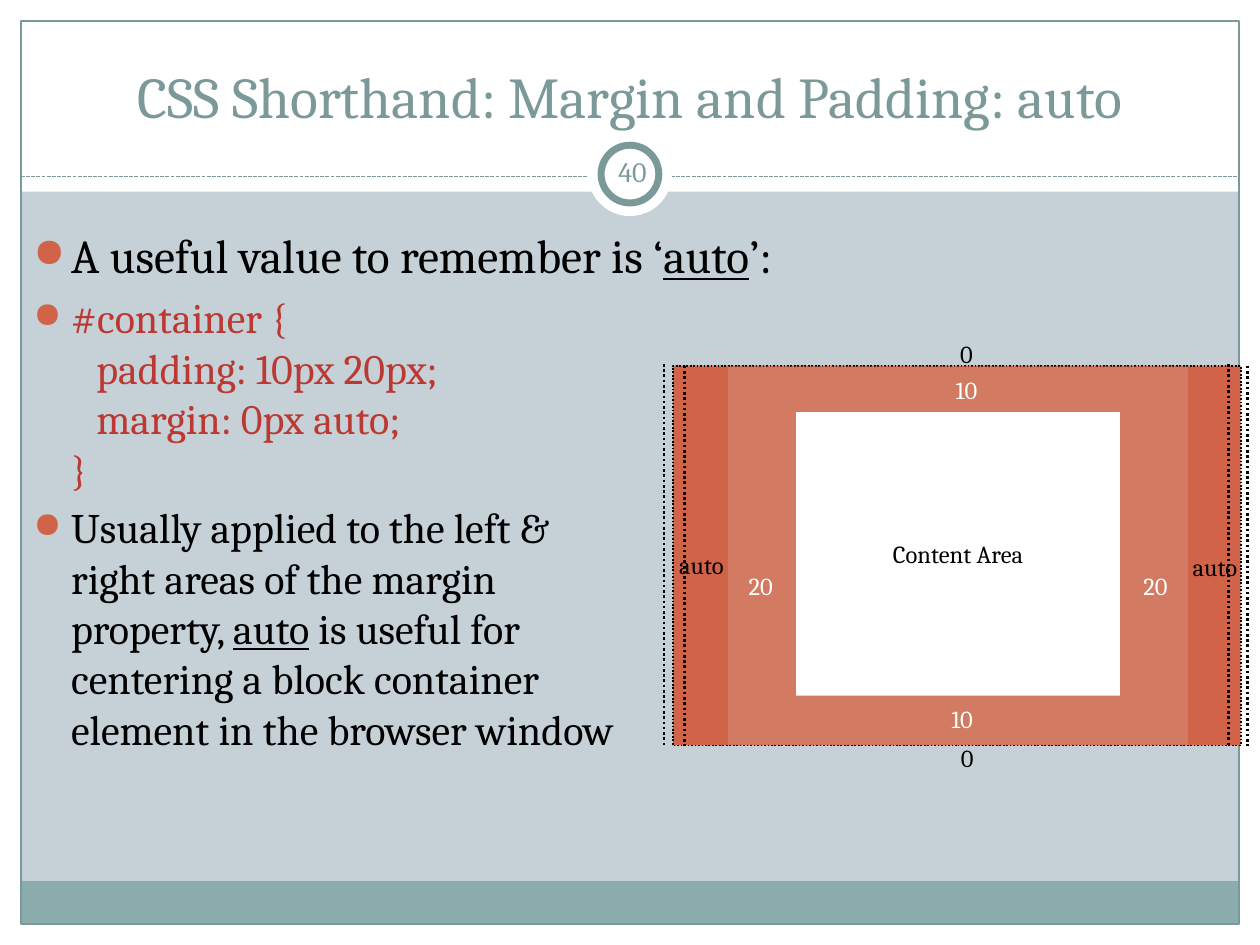
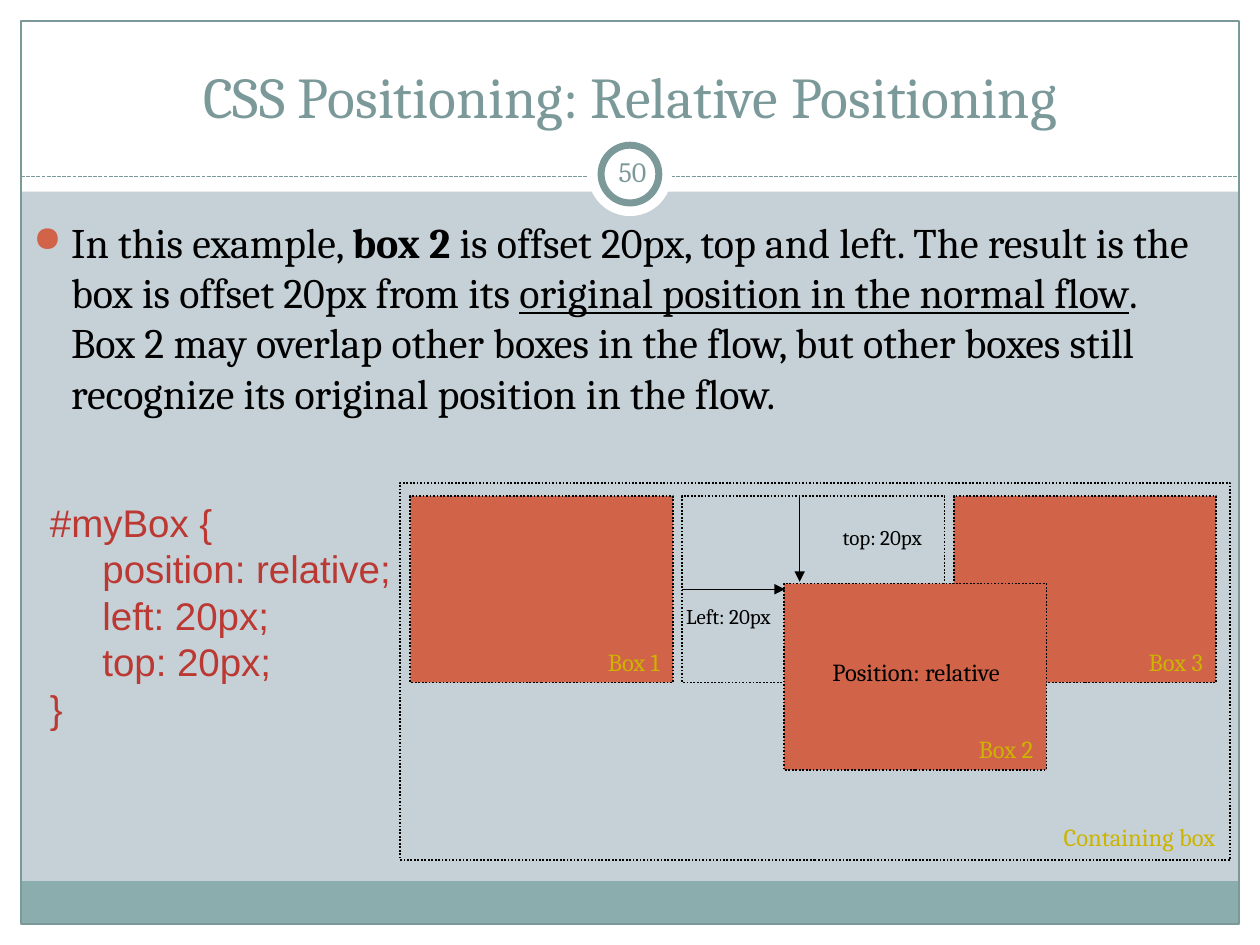
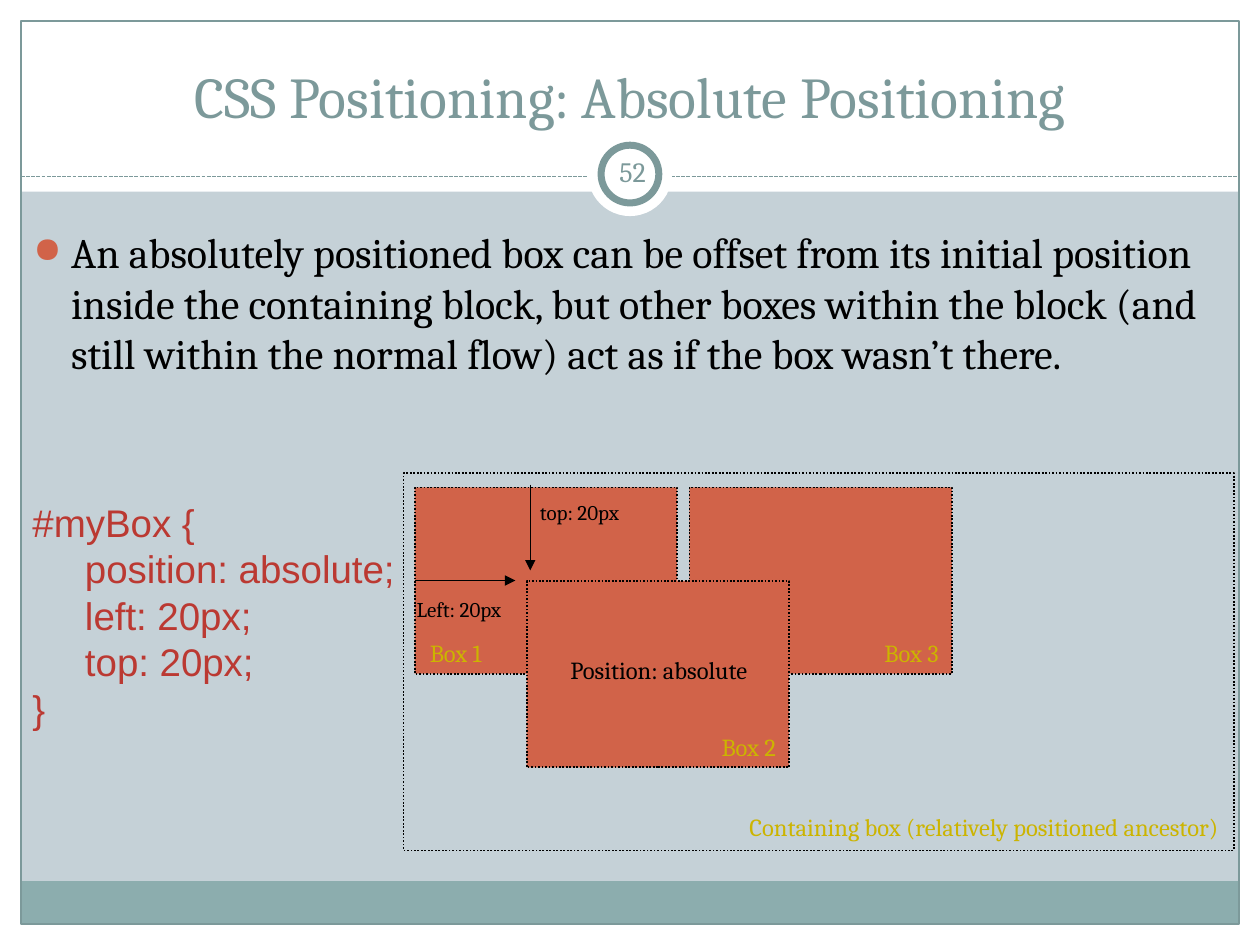
from dataclasses import dataclass

from lxml import etree
from pptx import Presentation
from pptx.dml import color
from pptx.enum import dml, shapes, text
from pptx.oxml import ns
from pptx.util import Pt


@dataclass(frozen=True)
class Theme:
    # Colours
    back: str = "C5D1D7"
    white: str = "FFFFFF"
    black: str = "000000"
    slate: str = "7C999A"
    teal: str = "8CADAE"
    rust: str = "D16349"
    clay: str = "D27B62"
    red: str = "BB3932"
    gold: str = "CCB400"
    # Fonts and type sizes
    serif: str = "Cambria"
    sans: str = "Arial"
    head: int = 33
    lead: int = 27
    body: int = 24
    code: int = 22
    page: int = 16
    label: int = 14
    hint: int = 12


T = Theme()
RECT = shapes.MSO_SHAPE.RECTANGLE
OVAL = shapes.MSO_SHAPE.OVAL
DOT = dml.MSO_LINE.ROUND_DOT
DASH = dml.MSO_LINE.SQUARE_DOT
LEFT, MID, RIGHT = text.PP_ALIGN.LEFT, text.PP_ALIGN.CENTER, text.PP_ALIGN.RIGHT


def rgb(tone):
    return color.RGBColor.from_string(tone)


def node(parent, tag, **attrs):
    return etree.SubElement(parent, ns.qn(tag), attrs)


class Deck:
    """Holds the theme, the show and the current slide."""

    def __init__(self, theme):
        self.theme = theme
        self.show = Presentation()
        self.show.slide_width, self.show.slide_height = Pt(720), Pt(540)
        self.slide = None

    # Page with bands, frame, title and number
    def page(self, title, number):
        t = self.theme
        self.slide = self.show.slides.add_slide(self.show.slide_layouts[6])
        fill = self.slide.background.fill
        fill.solid()
        fill.fore_color.rgb = rgb(t.back)
        for band in ((0, 528, 720, 12), (0, 0, 720, 109.5),
                     (0, 0, 12, 540), (708, 0, 12, 540)):
            self.shape(band, t.white)
        self.shape((12, 503.5, 696, 24.5), t.teal)
        self.shape((12, 12, 696, 516), line=t.slate, width=0.75)
        self.line(12, 101, 708, 101, t.slate, 0.75, DASH)
        self.shape((336, 75.5, 48, 48), t.white, kind=OVAL)
        self.shape((343.5, 83, 33, 33), t.white, t.slate, 4, kind=OVAL)
        self.label((24, 18, 672, 60), title, t.head, t.slate,
                   anchor=text.MSO_ANCHOR.BOTTOM)
        self.label((343.5, 80.5, 36, 34.5), number, t.page, t.slate,
                   anchor=text.MSO_ANCHOR.MIDDLE, inset=3.6)

    def shape(self, area, fill=None, line=None, width=1.0, dash=None, kind=RECT):
        item = self.slide.shapes.add_shape(kind, *map(Pt, area))
        item.shadow.inherit = False
        if fill:
            item.fill.solid()
            item.fill.fore_color.rgb = rgb(fill)
        else:
            item.fill.background()
        if line:
            self.pen(item.line, line, width, dash)
        else:
            item.line.fill.background()
        return item

    def pen(self, line, tone, width, dash):
        line.color.rgb = rgb(tone)
        line.width = Pt(width)
        if dash:
            line.dash_style = dash

    def line(self, x1, y1, x2, y2, tone=T.black, width=0.75, dash=None,
             arrow=False, start=None):
        item = self.slide.shapes.add_connector(
            shapes.MSO_CONNECTOR.STRAIGHT, *map(Pt, (x1, y1, x2, y2)))
        if start:
            item.begin_connect(*start)
        self.pen(item.line, tone, width, dash)
        props = item._element.spPr
        if arrow:
            node(props.find(ns.qn("a:ln")), "a:tailEnd", type="triangle")
        node(props, "a:effectLst")

    # Text
    def frame(self, area, anchor=text.MSO_ANCHOR.TOP, inset=None):
        box = self.slide.shapes.add_textbox(*map(Pt, area)).text_frame
        box.word_wrap = True
        box.vertical_anchor = anchor
        if inset is not None:
            box.margin_left = box.margin_right = Pt(inset)
            box.margin_top = box.margin_bottom = Pt(inset)
        return box

    def say(self, para, words, size, tone, face=T.serif, mark=""):
        for i, part in enumerate(words.split("\n")):
            if i:
                para.add_line_break()
            if part:
                run = para.add_run()
                run.text = part
                font = run.font
                font.size, font.name = Pt(size), face
                font.color.rgb = rgb(tone)
                font.bold = mark == "b"
                font.underline = mark == "u"

    def label(self, area, words, size=T.label, tone=T.black, align=MID, **opts):
        para = self.frame(area, **opts).paragraphs[0]
        para.alignment = align
        self.say(para, words, size, tone)

    def code(self, area, words):
        t = self.theme
        para = self.frame(area).paragraphs[0]
        para.line_spacing = Pt(26.5)
        tabs = node(para._p.get_or_add_pPr(), "a:tabLst")
        node(tabs, "a:tab", pos=str(Pt(30)), algn="l")
        self.say(para, words, t.code, t.red, t.sans)

    def points(self, area, items):
        """Each item is (size, colour, [(words, mark), ...])."""
        box = self.frame(area)
        for i, (size, tone, runs) in enumerate(items):
            para = box.add_paragraph() if i else box.paragraphs[0]
            if i:
                para.space_before = Pt(size * 0.2)
            props = para._p.get_or_add_pPr()
            props.set("marL", str(Pt(21.6)))
            props.set("indent", str(-Pt(21.6)))
            node(node(props, "a:buClr"), "a:srgbClr", val=self.theme.rust)
            node(props, "a:buSzPct", val="85000")
            node(props, "a:buChar", char="●")
            for words, mark in runs:
                self.say(para, words, size, tone, mark=mark)

    # Parts of the positioning diagrams
    def card(self, x, y, name="", align=RIGHT, note="", fill=T.rust):
        item = self.shape((x, y, 150, 106.5), fill, T.black, dash=DOT)
        if note:
            self.label((x + 1.5, y + 38.5, 148, 24), note)
        if name:
            self.label((x + 1.5, y + 82.5, 148, 24), name, tone=T.gold, align=align)
        return item

    def holder(self, x, y, name):
        self.shape((x, y, 474.5, 215.5), line=T.black, dash=DOT)
        self.label((x + 0.5, y + 190, 472.5, 24), name, tone=T.gold, align=RIGHT)

    def hint(self, x, y, words):
        self.label((x, y, 80, 21.5), words, T.hint, align=LEFT)


def auto(deck):
    deck.page("CSS Shorthand: Margin and Padding: auto", "40")
    deck.points((12, 126, 684, 352), [
        (T.lead, T.black, [("A useful value to remember is ‘", ""),
                           ("auto", "u"), ("’:", "")]),
        (T.body, T.red, [("#container {\n\tpadding: 10px 20px;\n"
                          "\tmargin: 0px auto;\n}", "")]),
        (T.body, T.black, [
            ("Usually applied to the left &\nright areas of the margin\nproperty, ", ""),
            ("auto", "u"),
            (" is useful for \ncentering a block container\n"
             "element in the browser window", "")]),
    ])
    # Margin, padding and content
    deck.shape((384.5, 209, 324.5, 217), T.rust, T.black, dash=DOT)
    deck.shape((416, 209.5, 263, 216), T.clay)
    deck.shape((455, 235.5, 185, 162), T.white)
    deck.label((463, 304.5, 169, 24), "Content Area")
    for x, y, words, tone in (
            (519, 421, "0", T.black), (518.5, 190, "0", T.black),
            (367, 311, "auto", T.black), (660.5, 312, "auto", T.black),
            (401, 322.5, "20", T.white), (626.5, 322.5, "20", T.white),
            (516, 399, "10", T.white), (518.5, 211, "10", T.white)):
        deck.label((x, y, 67.5, 24), words, tone=tone)
    for x, y in ((379.5, 208), (391, 209), (702, 208), (713, 209)):
        deck.line(x, y, x, y + 217.5, width=1.5, dash=DOT)


def relative(deck):
    deck.page("CSS Positioning: Relative Positioning", "50")
    deck.points((12, 120, 684, 205), [(T.body, T.black, [
        ("In this example, ", ""), ("box 2", "b"),
        (" is offset 20px, top and left. The result is the box is offset "
         "20px from its ", ""),
        ("original position in the normal flow", "u"),
        (". Box 2 may overlap other boxes in the flow, but other boxes still "
         "recognize its original position in the flow.", "")])])
    # Boxes in the flow, then the moved one
    left, top, step = 234.5, 283.5, 155.25
    deck.card(left, top, "Box 1")
    gap = deck.card(left + step, top, fill=None)
    deck.card(left + 2 * step, top, "Box 3")
    deck.holder(228.5, 276, "Containing box")
    deck.card(448, 333.5, "Box 2", note="Position: relative")
    # Offsets
    deck.hint(385, 341.5, "Left: 20px")
    deck.hint(474.5, 296, "top: 20px")
    deck.line(457, top, 457, 332.5, arrow=True)
    deck.line(left + step, 336.75, 448.5, 336.75, arrow=True, start=(gap, 1))
    deck.code((21.5, 281.5, 224.5, 139),
              "#myBox {\n\tposition: relative;\n\tleft: 20px;\n\ttop: 20px;\n}")


def absolute(deck):
    deck.page("CSS Positioning: Absolute Positioning", "52")
    deck.points((12, 126, 684, 167), [(T.body, T.black, [
        ("An absolutely positioned box can be offset from its initial position "
         "inside the containing block, but other boxes within the block (and "
         "still within the normal flow) act as if the box wasn’t there.", "")])])
    # Boxes in the flow, then the lifted one
    top = 278.5
    first = deck.card(237, top, "Box 1", LEFT)
    deck.card(394, top, "Box 3")
    deck.holder(230.5, 270.5, "Containing box (relatively positioned ancestor)")
    deck.card(301, 332, "Box 2", note="Position: absolute")
    # Offsets
    deck.hint(231, 337.5, "Left: 20px")
    deck.hint(301.5, 282, "top: 20px")
    deck.line(303, 277, 303, 326, arrow=True)
    deck.line(237, 331.75, 294.5, 331.75, arrow=True, start=(first, 1))
    deck.code((11.5, 281.5, 224.5, 139),
              "#myBox {\n\tposition: absolute;\n\tleft: 20px;\n\ttop: 20px;\n}")


def main():
    deck = Deck(T)
    auto(deck)
    relative(deck)
    absolute(deck)
    deck.show.save("out.pptx")


if __name__ == "__main__":
    main()
